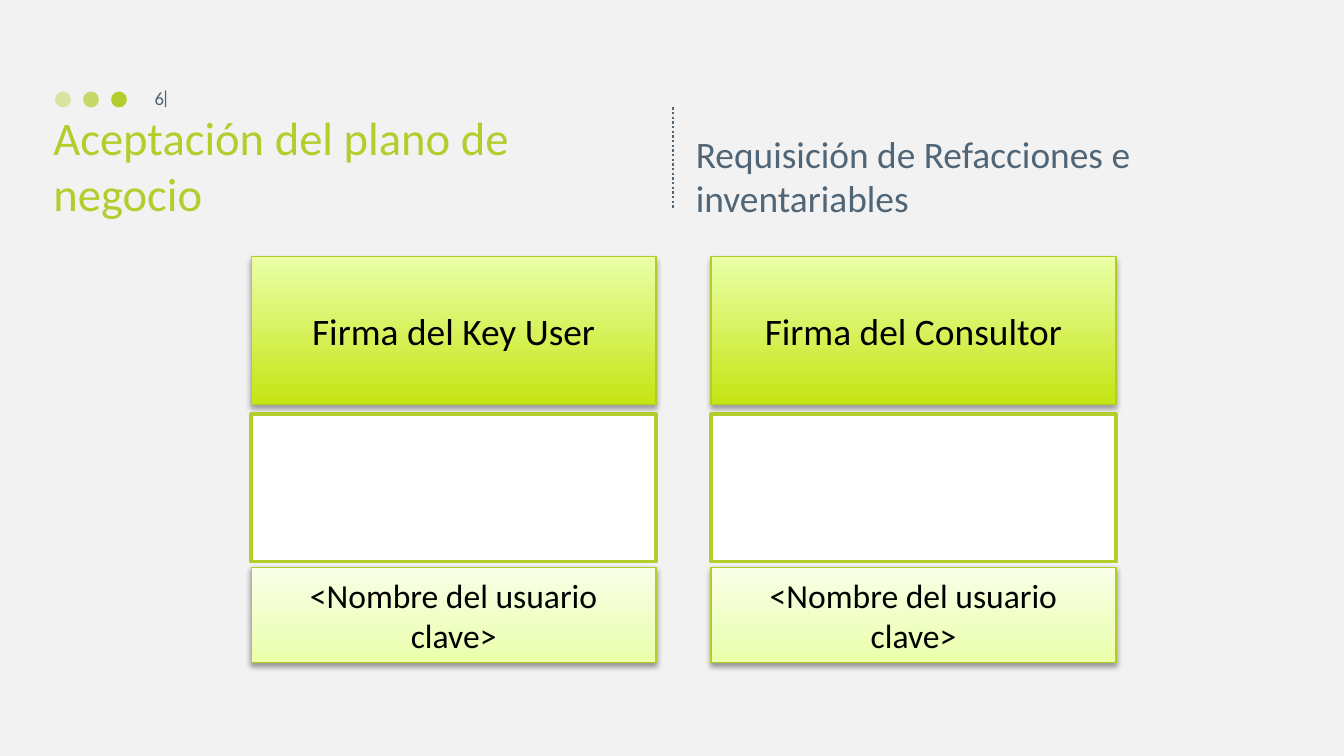
import pptx
import pptx.util
import pptx.dml.color
import pptx.enum.dml
import pptx.enum.shapes
import pptx.enum.text
import pptx.oxml
import pptx.oxml.ns
import lxml.etree

Cm, Pt = pptx.util.Cm, pptx.util.Pt
SHAPES = pptx.enum.shapes.MSO_SHAPE
ANCHOR = pptx.enum.text.MSO_ANCHOR
ALIGN = pptx.enum.text.PP_ALIGN
qn = pptx.oxml.ns.qn

# Content
GREEN, EDGE, SLATE, BLACK = "B4CD2C", "B3CC27", "506576", "000000"
SIGNERS = [
    ("Firma del Key User", "<Nombre del usuario clave>"),
    ("Firma del Consultor", "<Nombre del usuario clave>"),
]
# Text, place (left, top, width, height), size, colour, alignment, anchor, wrap, line spacing
LABELS = [
    ("|", (3.05, 1.68, 0.15, 0.38), 10, SLATE, ALIGN.LEFT, ANCHOR.TOP, False, 0.5),
    ("Aceptación del plano de negocio", (0.76, 1.9, 11.66, 2.39), 25, GREEN,
     ALIGN.LEFT, ANCHOR.BOTTOM, True, 1.0),
    ("Requisición de Refacciones e inventariables", (12.9, 1.9, 11.23, 2.39), 20, SLATE,
     ALIGN.LEFT, ANCHOR.BOTTOM, True, 1.0),
    ("6", (2.18, 1.47, 1.17, 0.76), 10, SLATE, ALIGN.RIGHT, ANCHOR.MIDDLE, True, 1.0),
]

# Layout and styles
DOT_LEFT, DOT_TOP, DOT_SIZE, DOT_STEP = 1.04, 1.73, 0.3, 0.53
DOT_OPACITY = [40, 70, 100]
CARD_LEFT, CARD_WIDTH, CARD_STEP = 4.75, 7.65, 8.69
HEADING = {"top": 4.85, "height": 2.79, "size": 20,
           "stops": [(0, "C5E514"), (100, "EAFFA7")], "shadow": (35, 1.8)}
SPACE = {"top": 7.82, "height": 2.79}
NAME = {"top": 10.72, "height": 1.8, "size": 18,
        "stops": [(0, "EAFFA7"), (35, "EFFFC1"), (100, "F9FFE7")], "shadow": (38, 1.6)}


def color(value):
    return pptx.dml.color.RGBColor.from_string(value)


def add_child(parent, tag, **attributes):
    child = lxml.etree.SubElement(parent, qn(tag))
    for key, value in attributes.items():
        child.set(key, str(value))
    return child


def write(shape, text, size, ink, align, anchor, wrap=True, spacing=1.0):
    frame = shape.text_frame
    frame.word_wrap = wrap
    frame.vertical_anchor = anchor
    para = frame.paragraphs[0]
    para.alignment = align
    para.line_spacing = spacing
    span = para.add_run()
    span.text = text
    for key, value in {"name": "Calibri", "size": Pt(size), "bold": False}.items():
        setattr(span.font, key, value)
    span.font.color.rgb = color(ink)


def add_block(kind, left, top, width, height, fill, line=None, weight=0):
    shape = page.shapes.add_shape(kind, Cm(left), Cm(top), Cm(width), Cm(height))
    shape.shadow.inherit = False
    shape.fill.solid()
    shape.fill.fore_color.rgb = color(fill)
    if line:
        shape.line.color.rgb = color(line)
        shape.line.width = Pt(weight)
    else:
        shape.line.fill.background()
    return shape


def add_gradient(shape, stops):
    shape.fill.gradient()
    shape.fill.gradient_angle = 90
    stop_list = shape._element.spPr.find(".//" + qn("a:gsLst"))
    for stop in list(stop_list):
        stop_list.remove(stop)
    for position, value in stops:
        stop = add_child(stop_list, "a:gs", pos=position * 1000)
        add_child(stop, "a:srgbClr", val=value)


def add_shadow(shape, opacity, distance):
    effects = shape._element.spPr.find(qn("a:effectLst"))
    shadow = add_child(effects, "a:outerShdw", blurRad=Pt(3.1), dist=Pt(distance),
                       dir=90 * 60000, rotWithShape=0)
    tint = add_child(shadow, "a:srgbClr", val=BLACK)
    add_child(tint, "a:alpha", val=opacity * 1000)


def add_card(left, text, style):
    card = add_block(SHAPES.RECTANGLE, left, style["top"], CARD_WIDTH, style["height"],
                     "FFFFFF", EDGE, 0.75)
    add_gradient(card, style["stops"])
    add_shadow(card, *style["shadow"])
    write(card, text, style["size"], BLACK, ALIGN.CENTER, ANCHOR.MIDDLE)


deck = pptx.Presentation()
deck.slide_width, deck.slide_height = Cm(25.4), Cm(14.28)
page = deck.slides.add_slide(deck.slide_layouts[6])
page.background.fill.solid()
page.background.fill.fore_color.rgb = color("F2F2F2")

# Fading dots
for index, opacity in enumerate(DOT_OPACITY):
    dot = add_block(SHAPES.OVAL, DOT_LEFT + index * DOT_STEP, DOT_TOP, DOT_SIZE, DOT_SIZE, GREEN)
    tint = dot._element.spPr.find(qn("a:solidFill"))[0]
    add_child(tint, "a:alpha", val=opacity * 1000)

# Dotted divider between title and subtitle
divider = page.shapes.add_connector(pptx.enum.shapes.MSO_CONNECTOR.STRAIGHT,
                                    Cm(12.72), Cm(2.03), Cm(12.72), Cm(3.94))
divider.line.color.rgb = color(SLATE)
divider.line.width = Pt(1.25)
divider.line.dash_style = pptx.enum.dml.MSO_LINE.ROUND_DOT
add_child(divider._element.spPr, "a:effectLst")

# Title, subtitle and page number
for text, place, *style in LABELS:
    box = page.shapes.add_textbox(*[Cm(length) for length in place])
    write(box, text, *style)

# One column of signature cards per signer
for index, (heading, name) in enumerate(SIGNERS):
    left = CARD_LEFT + index * CARD_STEP
    add_card(left, heading, HEADING)
    add_block(SHAPES.RECTANGLE, left, SPACE["top"], CARD_WIDTH, SPACE["height"],
              "FFFFFF", GREEN, 2)
    add_card(left, name, NAME)

deck.save("out.pptx")
